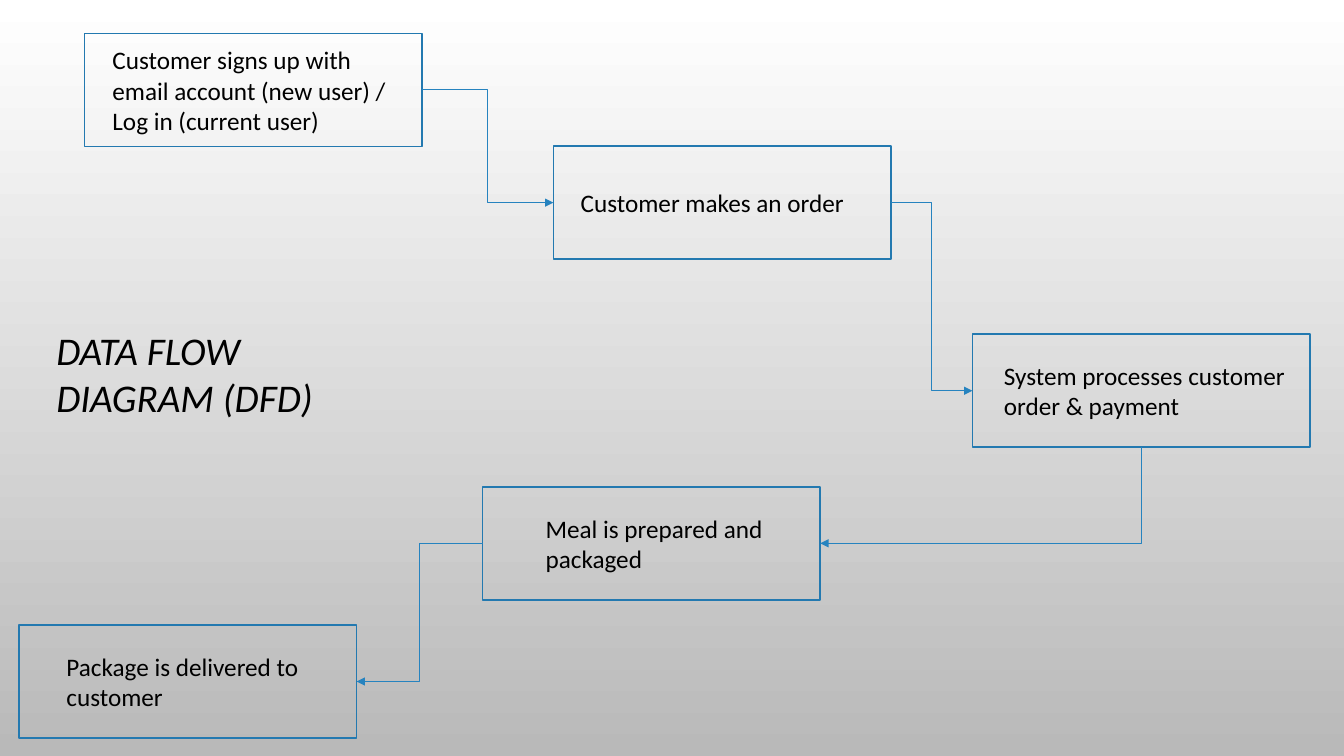
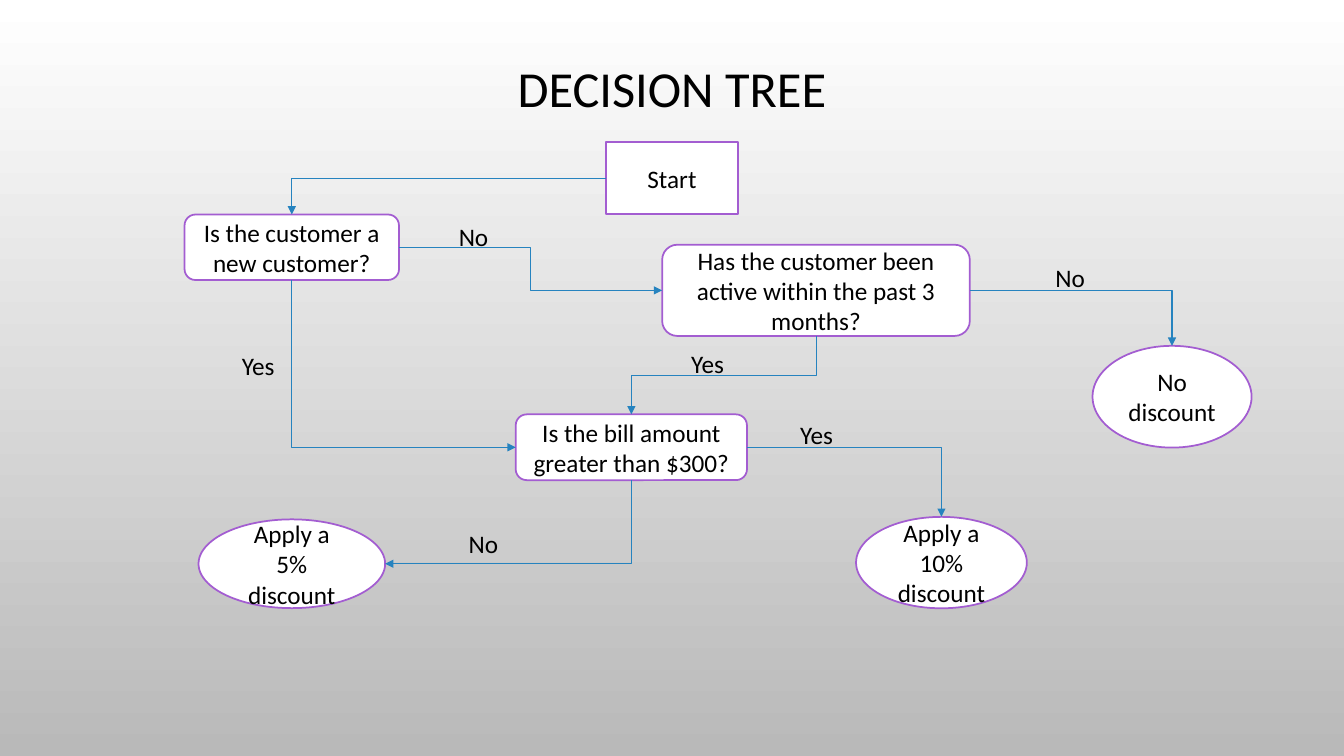
from dataclasses import dataclass
from typing import Any

from lxml.etree import SubElement as Sub
from pptx import Presentation as Deck
from pptx.dml.color import RGBColor as Rgb
from pptx.enum.shapes import MSO_AUTO_SHAPE_TYPE as Form
from pptx.enum.shapes import MSO_CONNECTOR as Link
from pptx.enum.text import MSO_ANCHOR as Anchor
from pptx.enum.text import MSO_AUTO_SIZE as Fit
from pptx.enum.text import PP_ALIGN as Align
from pptx.oxml.ns import qn
from pptx.util import Pt

# Shared look
FONT = "Calibri"
BLACK, WHITE, GREY = "000000", "FFFFFF", "B9B9B9"
BLUE, SKY, PURPLE = "2379B0", "2683BF", "A35DD1"
SIDES = ("top", "left", "bottom", "right")


@dataclass
class Node:
    text: str
    left: float
    top: float
    width: float
    height: float
    form: Form = Form.RECTANGLE
    inset: float = 7.2

    def point(self, side: str) -> tuple[float, float]:
        """Middle of one side."""
        across = {"left": 0, "right": 1}.get(side, 0.5)
        down = {"top": 0, "bottom": 1}.get(side, 0.5)
        return self.left + across * self.width, self.top + down * self.height

    def site(self, side: str) -> int:
        """Number of the connection site; an ellipse has twice as many."""
        return SIDES.index(side) * (2 if self.form == Form.OVAL else 1)


@dataclass
class Flow:
    start: str
    exit: str
    end: str
    entry: str


@dataclass
class Label:
    text: str
    left: float
    top: float


def paint(target: Any, color: str) -> None:
    """Set the colour of a fill, a line, a font or a gradient stop."""
    if hasattr(target, "solid"):
        target.solid()
        target = target.fore_color
    elif hasattr(target, "color"):
        target = target.color
    target.rgb = Rgb.from_string(color)


def write(frame: Any, text: str, *, size: float = 18, align: Align = Align.LEFT,
          anchor: Anchor = Anchor.MIDDLE, italic: bool = False,
          space: float = 1.0, inset: float = 7.2) -> None:
    frame.word_wrap = True
    frame.auto_size = Fit.NONE
    frame.vertical_anchor = anchor
    frame.margin_left = Pt(inset)
    para = frame.paragraphs[0]
    para.alignment, para.line_spacing = align, space
    run = para.add_run()
    run.text = text
    font = run.font
    font.name, font.size, font.italic = FONT, Pt(size), italic
    paint(font, BLACK)


def place(shape: Any, left: float, top: float, width: float, height: float) -> None:
    shape.left, shape.top = Pt(left), Pt(top)
    shape.width, shape.height = Pt(width), Pt(height)


def start_slide(deck: Any, title: str, box: tuple, **style: Any) -> Any:
    slide = deck.slides.add_slide(deck.slide_layouts[5])
    place(slide.shapes.title, *box)
    write(slide.shapes.title.text_frame, title, **style)
    return slide


def draw_node(slide: Any, node: Node, edge: str, fill: str | None,
              align: Align) -> Any:
    shape = slide.shapes.add_shape(
        node.form, Pt(node.left), Pt(node.top), Pt(node.width), Pt(node.height))
    shape.shadow.inherit = False
    if fill:
        paint(shape.fill, fill)
    else:
        shape.fill.background()
    paint(shape.line, edge)
    shape.line.width = Pt(1.25)
    write(shape.text_frame, node.text, align=align, inset=node.inset)
    return shape


def draw_flow(slide: Any, flow: Flow, nodes: dict, shapes: dict) -> None:
    first, last = nodes[flow.start], nodes[flow.end]
    x1, y1 = first.point(flow.exit)
    x2, y2 = last.point(flow.entry)
    wide, high = abs(x2 - x1), abs(y2 - y1)
    line = slide.shapes.add_connector(Link.ELBOW, Pt(x1), Pt(y1), Pt(x2), Pt(y2))

    # Glue both ends
    line.begin_connect(shapes[flow.start], SIDES.index(flow.exit))
    line.end_connect(shapes[flow.end], SIDES.index(flow.entry))
    for tag, node, side in (("a:stCxn", first, flow.exit),
                            ("a:endCxn", last, flow.entry)):
        glue = next(line._element.iter(qn(tag)))
        glue.set("id", str(shapes[flow.start if node is first else flow.end].shape_id))
        glue.set("idx", str(node.site(side)))

    # Every flow runs downward: turn the preset to suit its first leg
    upright = flow.exit in ("top", "bottom")
    if upright:
        turn, flip = (90, "") if x2 < x1 else (270, "flipH")
    else:
        turn, flip = (180, "flipV") if x2 < x1 else (0, "")
    w, h = (high, wide) if upright else (wide, high)
    place(line, (x1 + x2 - w) / 2, (y1 + y2 - h) / 2, w, h)
    props = line._element.spPr
    frame = props.find(qn("a:xfrm"))
    frame.set("rot", str(turn * 60000))
    for name in ("flipH", "flipV"):
        frame.set(name, str(int(name == flip)))
    same = upright == (flow.entry in ("top", "bottom"))
    props.find(qn("a:prstGeom")).set("prst", f"bentConnector{3 if same else 2}")

    # Stroke and arrowhead
    paint(line.line, SKY)
    line.line.width = Pt(0.75)
    Sub(props.find(qn("a:ln")), qn("a:tailEnd"), type="triangle")
    Sub(props, qn("a:effectLst"))


def draw_chart(slide: Any, nodes: dict, flows: list, *, edge: str,
               fill: str | None = None, align: Align = Align.LEFT) -> None:
    shapes = {key: draw_node(slide, node, edge, fill, align)
              for key, node in nodes.items()}
    for flow in flows:
        draw_flow(slide, flow, nodes, shapes)


def draw_label(slide: Any, label: Label) -> None:
    box = slide.shapes.add_textbox(Pt(label.left), Pt(label.top), Pt(62), Pt(28.8))
    write(box.text_frame, label.text, anchor=Anchor.TOP)


def step(text: str, left: float, top: float, inset: float) -> Node:
    return Node(text, left, top, 241.2, 80.6, inset=inset)


# Data flow diagram
STEPS = {
    "login": step("Customer signs up with email account (new user) / "
                  "Log in (current user)", 60.3, 24, 20),
    "order": step("Customer makes an order", 395.3, 104.5, 19.5),
    "pay": step("System processes customer order & payment", 694.6, 238.8, 22.5),
    "meal": step("Meal is prepared and packaged", 344.7, 347.8, 45),
    "parcel": step("Package is delivered to customer", 13.5, 446.5, 34),
}
STEP_FLOWS = [
    Flow("login", "right", "order", "left"),
    Flow("order", "right", "pay", "left"),
    Flow("pay", "bottom", "meal", "right"),
    Flow("meal", "left", "parcel", "right"),
]

# Decision tree
ROUND, OVAL = Form.ROUNDED_RECTANGLE, Form.OVAL
TREE = {
    "start": Node("Start", 432.8, 101.5, 94.4, 51.6),
    "new": Node("Is the customer a new customer?", 131.8, 153.2, 153.2, 46.8, ROUND),
    "bill": Node("Is the bill amount greater than $300?",
                 368.4, 296, 165.2, 47, ROUND),
    "ten": Node("Apply a 10% discount", 611.5, 369.2, 122, 65.3, OVAL),
    "five": Node("Apply a 5% discount", 141.8, 371, 133.3, 63.4, OVAL),
    "active": Node("Has the customer been active within the past 3 months?",
                   473, 174.8, 219.8, 65.2, ROUND),
    "none": Node("No discount", 780.4, 247, 113.6, 72.7, OVAL),
}
TREE_FLOWS = [
    Flow("new", "bottom", "bill", "left"),
    Flow("bill", "right", "ten", "top"),
    Flow("bill", "bottom", "five", "right"),
    Flow("start", "left", "new", "top"),
    Flow("new", "right", "active", "left"),
    Flow("active", "bottom", "bill", "top"),
    Flow("active", "right", "none", "top"),
]
LABELS = [
    Label("Yes", 564.5, 296), Label("Yes", 165.6, 246.4),
    Label("No", 327.6, 373.8), Label("No", 320.6, 154.6),
    Label("Yes", 486.6, 245), Label("No", 746.8, 183.6),
]


def main() -> None:
    deck = Deck()
    deck.slide_width, deck.slide_height = Pt(960), Pt(540)

    # Background for all slides
    fill = deck.slide_master.background.fill
    fill.gradient()
    fill.gradient_angle = 270
    for stop, color in zip(fill.gradient_stops, (WHITE, GREY)):
        paint(stop, color)

    slide = start_slide(deck, "DATA FLOW DIAGRAM (DFD)", (33, 229, 202.5, 75),
                        size=28, italic=True)
    draw_chart(slide, STEPS, STEP_FLOWS, edge=BLUE)

    slide = start_slide(deck, "DECISION TREE", (66, 29, 828, 72.7),
                        size=36, align=Align.CENTER, space=0.9)
    draw_chart(slide, TREE, TREE_FLOWS, edge=PURPLE, fill=WHITE, align=Align.CENTER)
    for label in LABELS:
        draw_label(slide, label)

    deck.save("out.pptx")


if __name__ == "__main__":
    main()
